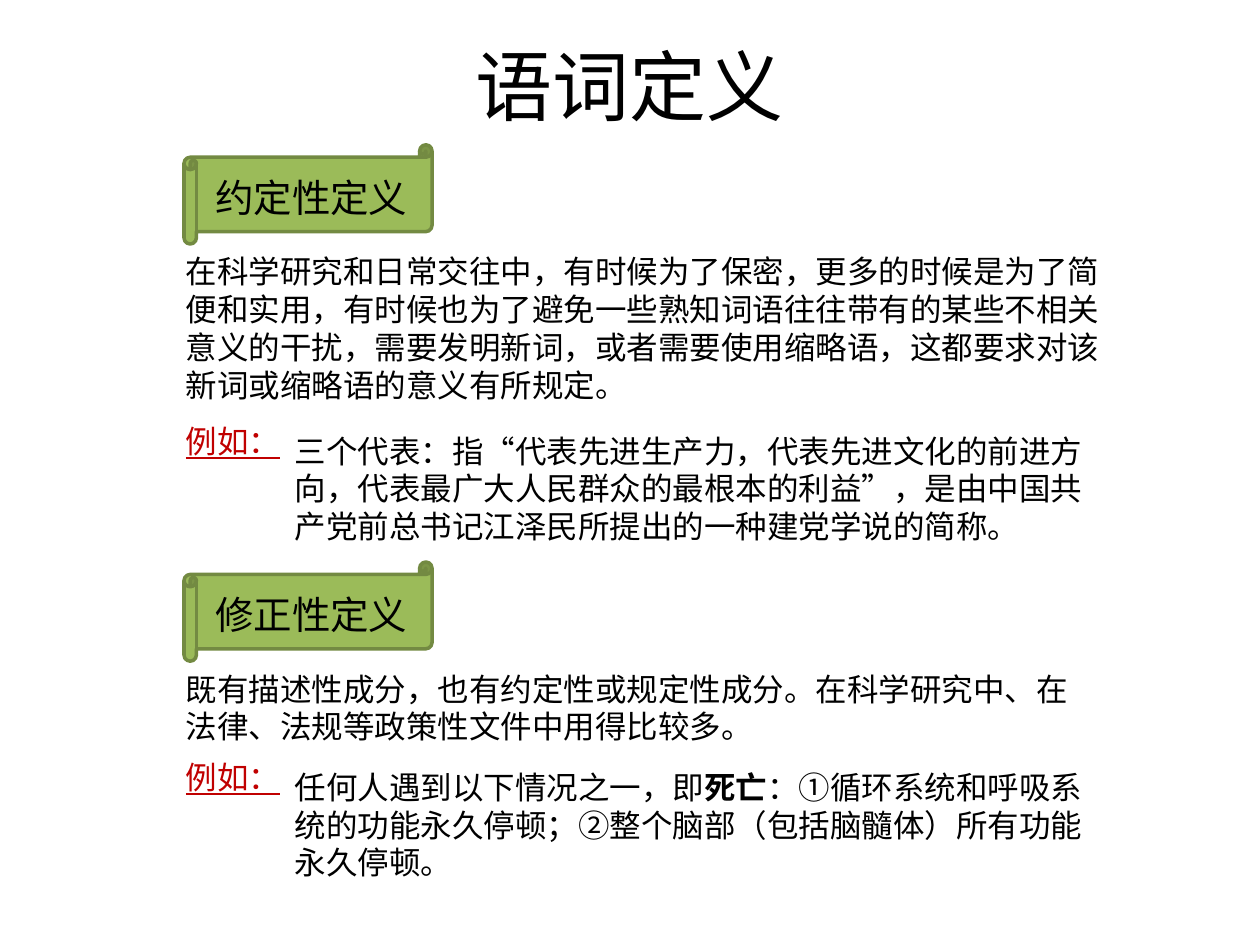
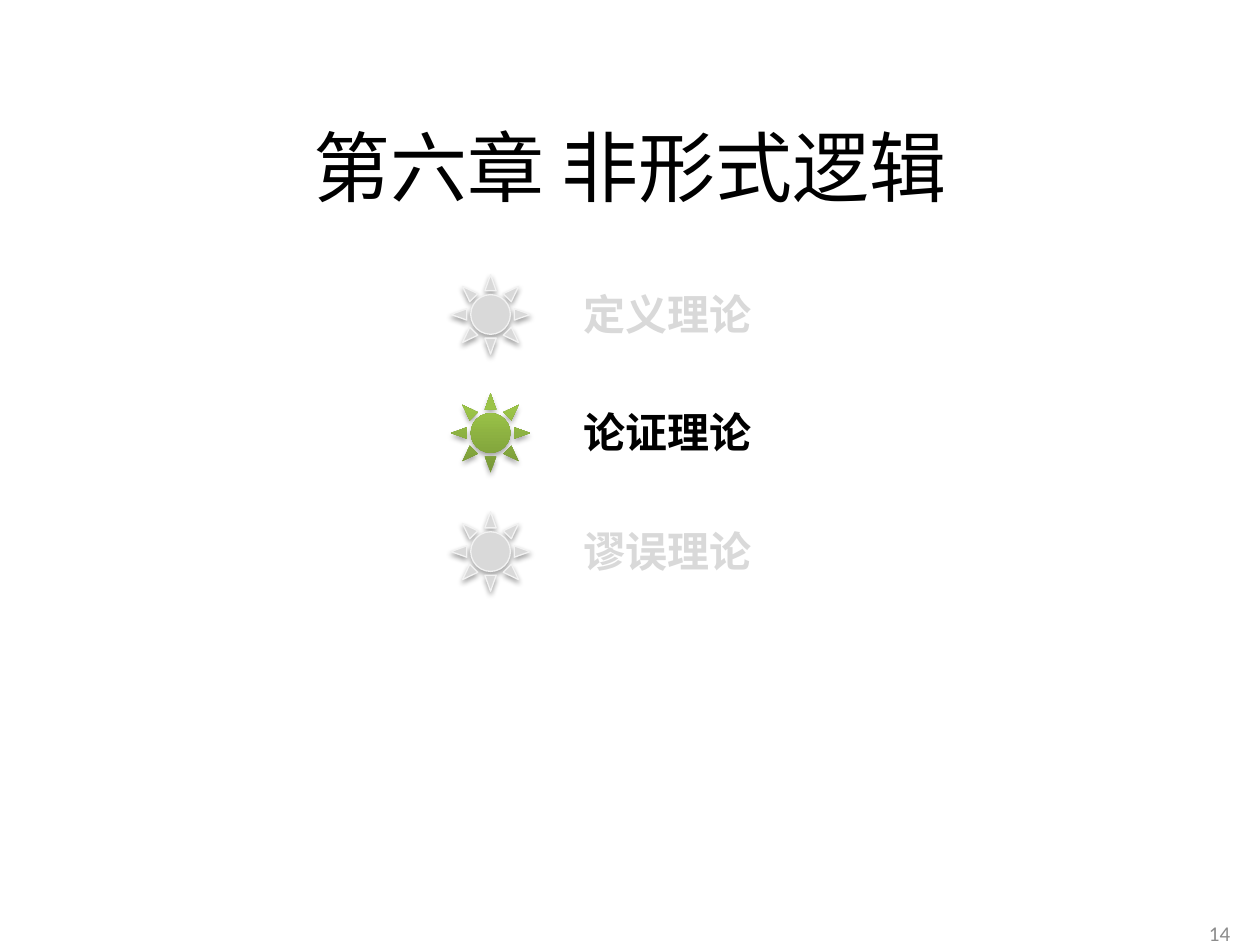
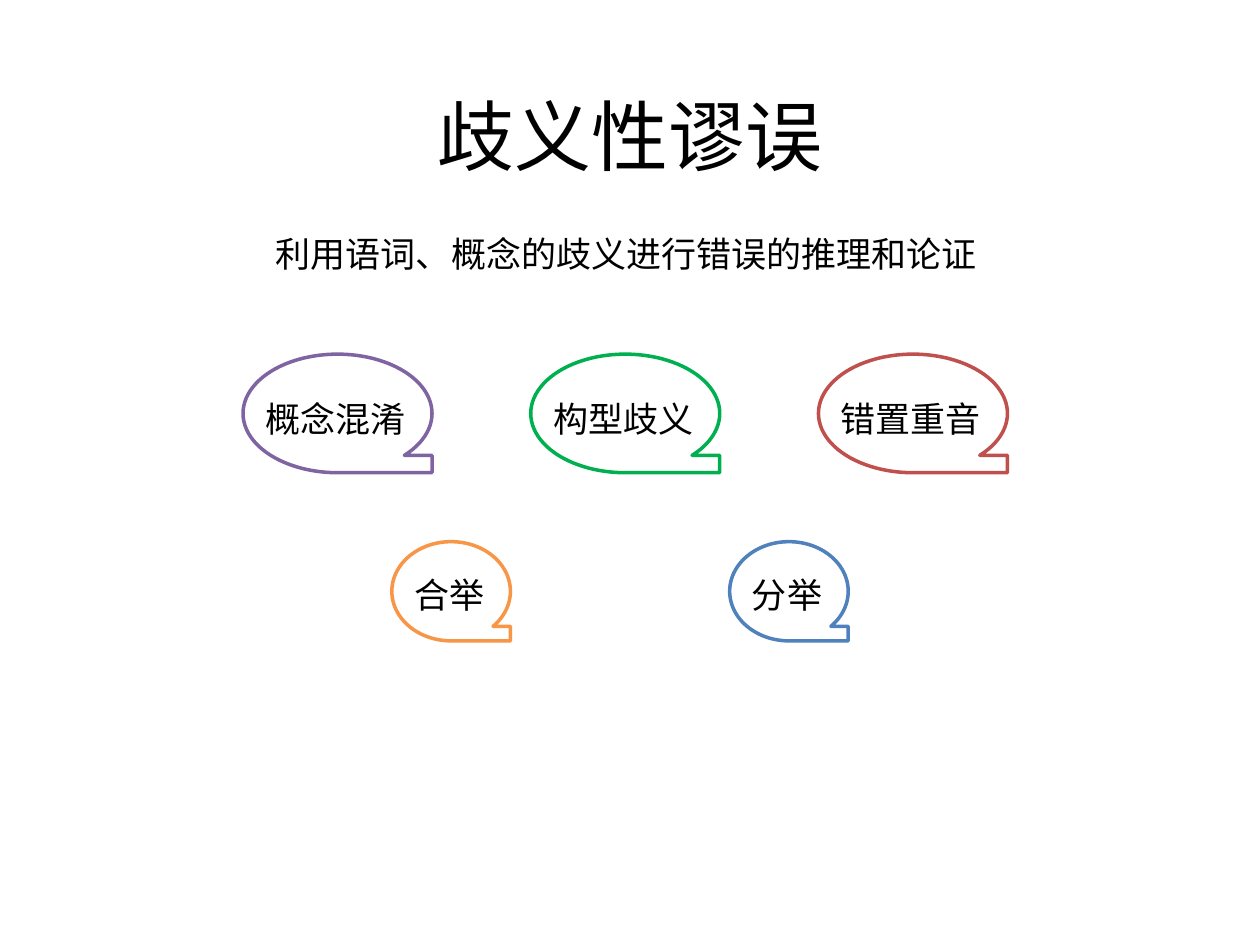
from lxml import etree
from pptx import Presentation
from pptx import util as u
from pptx.dml import color
from pptx.enum import shapes, text
from pptx.oxml import ns

COLORS = {
    "black": "000000", "white": "FFFFFF", "red": "C00000",
    "pale": "D9D9D9", "paler": "F2F2F2", "number": "8C8C8C",
    "olive": "9BBB59", "dark olive": "738A42",
    "gradient low": "779737", "gradient high": "9BC348",
    "purple": "8064A2", "green": "00B050", "brick": "C0504D",
    "orange": "F79646", "blue": "4F81BD",
}
RGB = {name: color.RGBColor.from_string(value) for name, value in COLORS.items()}
CJK = "Noto Sans CJK SC"
TITLE = {"size": 44, "latin": "Noto Sans CJK JP", "asian": "Noto Sans CJK JP",
         "align": text.PP_ALIGN.CENTER, "anchor": text.MSO_ANCHOR.MIDDLE}
BODY = {"size": 18, "latin": "Times New Roman", "leading": 1.2}
LABEL = {"size": 20, "leading": 1.2}


def add_text(page, place, content, size, hue="black", latin=CJK, asian=CJK, bold=None,
             underline=None, align=None, anchor=text.MSO_ANCHOR.TOP, leading=None):
    """Add one paragraph; a list as content alternates plain and bold spans."""
    box = page.shapes.add_textbox(*map(u.Cm, place))
    frame = box.text_frame
    frame_format = {"word_wrap": True, "vertical_anchor": anchor}
    if leading:
        frame_format["margin_top"] = u.Cm(0.17)
    for name, value in frame_format.items():
        setattr(frame, name, value)
    para = frame.paragraphs[0]
    para.alignment = align
    if leading:
        para.line_spacing = u.Pt(size * leading)
    pieces = content if isinstance(content, list) else [content]
    for index, piece in enumerate(pieces):
        span = para.add_run()
        span.text = piece
        font_format = {"size": u.Pt(size), "name": latin, "underline": underline,
                       "bold": True if index % 2 else bold}
        for name, value in font_format.items():
            setattr(span.font, name, value)
        span.font.color.rgb = RGB[hue]
        etree.SubElement(span.font._element, ns.qn("a:ea"), typeface=asian)
    return para


def add_figure(page, kind, place, fill, line=None, width=2):
    figure = page.shapes.add_shape(kind, *map(u.Cm, place))
    figure.shadow.inherit = False
    figure.fill.solid()
    figure.fill.fore_color.rgb = RGB[fill]
    if line:
        figure.line.color.rgb = RGB[line]
        figure.line.width = u.Pt(width)
    else:
        figure.line.fill.background()
    return figure


deck = Presentation()
deck.slide_width, deck.slide_height = u.Cm(25.4), u.Cm(19.05)
blank = deck.slide_layouts[6]

# Shared titles
titles = [("语词定义", 0.13), ("第六章 非形式逻辑", 1.3), ("歧义性谬误", 1.14)]
pages = []
title_paras = []
for title, top in titles:
    page = deck.slides.add_slide(blank)
    title_paras.append(add_text(page, (1.27, top, 22.86, 3.16), title, **TITLE))
    pages.append(page)
definitions, chapter, fallacies = pages
title_paras[1].line_spacing = 1.5

# Definitions: scroll heading, explanation and example
sections = [
    {"top": 2.92, "heading": "约定性定义", "body_size": (19.4, 3.33),
     "body": "在科学研究和日常交往中，有时候为了保密，更多的时候是为了简便和实用，"
             "有时候也为了避免一些熟知词语往往带有的某些不相关意义的干扰，需要发明新词，"
             "或者需要使用缩略语，这都要求对该新词或缩略语的意义有所规定。",
     "example_top": 8.33, "example_width": 16.6,
     "example": "三个代表：指“代表先进生产力，代表先进文化的前进方向，"
                "代表最广大人民群众的最根本的利益”，是由中国共产党前总书记江泽民"
                "所提出的一种建党学说的简称。"},
    {"top": 11.33, "heading": "修正性定义", "body_size": (18.6, 1.8),
     "body": "既有描述性成分，也有约定性或规定性成分。在科学研究中、"
             "在法律、法规等政策性文件中用得比较多。",
     "example_top": 15.11, "example_width": 16.9,
     "example": ["任何人遇到以下情况之一，即", "死亡",
                 "：①循环系统和呼吸系统的功能永久停顿；"
                 "②整个脑部（包括脑髓体）所有功能永久停顿。"]},
]
for section in sections:
    top, example_top = section["top"], section["example_top"]
    add_figure(definitions, shapes.MSO_SHAPE.HORIZONTAL_SCROLL, (3.71, top, 5, 2),
               "olive", "dark olive")
    add_text(definitions, (4.09, top + 0.41, 5, 1.2), section["heading"], 22, leading=1.2)
    add_text(definitions, (3.5, top + 2, *section["body_size"]), section["body"], **BODY)
    add_text(definitions, (3.5, example_top, 2.45, 1.02), "例如：", 18, "red",
             underline=True, leading=1.2)
    add_text(definitions, (5.69, example_top + 0.2, section["example_width"], 2.57),
             section["example"], **BODY)

# Chapter: three topics with the current one highlighted
topics = [("定义理论", False), ("论证理论", True), ("谬误理论", False)]
for row, (topic, current) in enumerate(topics):
    top = 5.54 + 2.39 * row
    sun = add_figure(chapter, shapes.MSO_SHAPE.SUN, (9.09, top, 1.6, 1.6), "pale",
                     None if current else "paler", 0.75)
    if current:
        sun.fill.gradient()
        sun.fill.gradient_angle = 90
        stops = [("gradient low", 0), ("gradient high", 0.8)]
        for stop, (hue, position) in zip(sun.fill.gradient_stops, stops):
            stop.color.rgb = RGB[hue]
            stop.position = position
    effects = sun._element.spPr.find(ns.qn("a:effectLst"))
    shadow = etree.SubElement(effects, ns.qn("a:outerShdw"), blurRad=str(u.Pt(3.1)),
                              dist=str(u.Pt(1.8)), dir="5400000", rotWithShape="0")
    tint = etree.SubElement(shadow, ns.qn("a:srgbClr"), val=COLORS["black"])
    etree.SubElement(tint, ns.qn("a:alpha"), val="35000")
    add_text(chapter, (11.51, top + 0.1, 14.2, 1.27), topic, 24,
             "black" if current else "pale", latin="Arial", bold=True, leading=1.2)
add_text(chapter, (24.03, 18.31, 1.02, 1.02), "14", 12, "number", latin="Calibri",
         align=text.PP_ALIGN.RIGHT, anchor=text.MSO_ANCHOR.MIDDLE)

# Fallacies: two rows of bubbles
add_text(fallacies, (5.31, 4.52, 15.19, 1.12), "利用语词、概念的歧义进行错误的推理和论证", **LABEL)
bubble_rows = [
    {"left": 4.9, "top": 7.14, "step": 5.8, "size": (3.81, 2.39), "drop": 0.71,
     "label_width": 4.19,
     "names": [("概念混淆", "purple"), ("构型歧义", "green"), ("错置重音", "brick")]},
    {"left": 7.9, "top": 10.92, "step": 6.81, "size": (2.39, 2), "drop": 0.48,
     "label_width": 2.01, "names": [("合举", "orange"), ("分举", "blue")]},
]
for row in bubble_rows:
    for column, (name, hue) in enumerate(row["names"]):
        left = row["left"] + column * row["step"]
        add_figure(fallacies, shapes.MSO_SHAPE.FLOWCHART_SEQUENTIAL_ACCESS_STORAGE,
                   (left, row["top"], *row["size"]), "white", hue)
        add_text(fallacies, (left + 0.2, row["top"] + row["drop"], row["label_width"], 1.12),
                 name, **LABEL)

deck.save("out.pptx")
